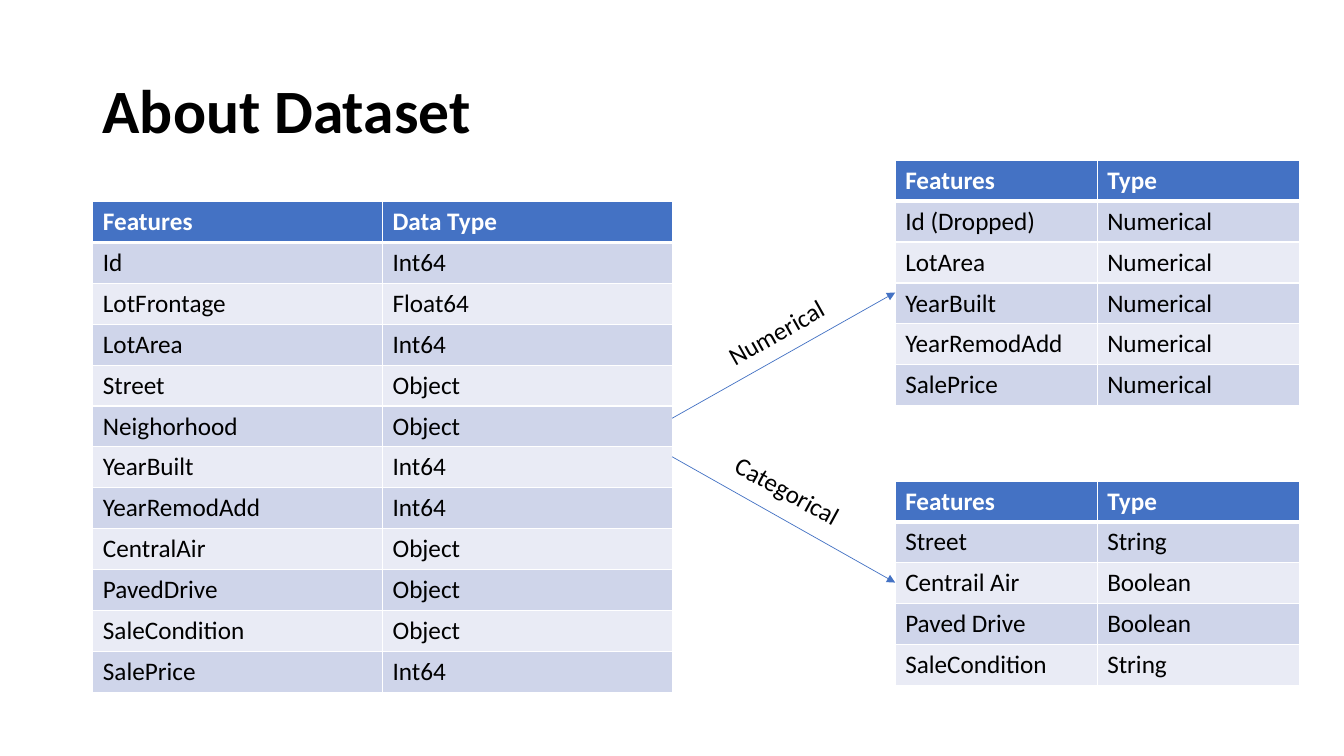
import pptx
import pptx.dml.color
import pptx.enum.shapes
import pptx.enum.text
import pptx.oxml
import pptx.oxml.ns
import pptx.util
from pptx.util import Cm

WHITE, BLACK, BLUE = "FFFFFF", "000000", "4472C4"
BANDS = ("CFD5EA", "E9EBF5")
ROW_HEIGHT = 1.03


def color(hex_value):
    """Turn a hex string into a colour."""
    return pptx.dml.color.RGBColor.from_string(hex_value)


def add_xml(parent, tag, content="", attributes=""):
    """Append one drawing element to a parent element."""
    namespace = pptx.oxml.ns.nsdecls("a")
    parent.append(pptx.oxml.parse_xml(
        f"<a:{tag} {namespace} {attributes}>{content}</a:{tag}>"))


class SlideBuilder:
    """Holds the style and the current slide."""

    font_name = "Calibri"
    body_size = 18
    title_size = 44

    def __init__(self, slide):
        """Keep the slide that receives the elements."""
        self.slide = slide

    def add_run(self, paragraph, text, size, hex_value=BLACK, bold=False):
        """Add one styled run to a paragraph."""
        run = paragraph.add_run()
        run.text = text
        run.font.name = self.font_name
        run.font.size = pptx.util.Pt(size)
        run.font.bold = bold
        run.font.color.rgb = color(hex_value)

    def add_title(self, text, left, top, width, height):
        """Add the bold, vertically centred heading."""
        shape = self.slide.shapes.add_textbox(Cm(left), Cm(top), Cm(width), Cm(height))
        frame = shape.text_frame
        frame.word_wrap = True
        frame.vertical_anchor = pptx.enum.text.MSO_ANCHOR.MIDDLE
        frame.paragraphs[0].line_spacing = 0.9
        self.add_run(frame.paragraphs[0], text, self.title_size, bold=True)

    def add_label(self, text, left, top, width, rotation):
        """Add a rotated label that lies along an arrow."""
        shape = self.slide.shapes.add_textbox(Cm(left), Cm(top), Cm(width), Cm(ROW_HEIGHT))
        shape.rotation = rotation
        frame = shape.text_frame
        frame.word_wrap = False
        frame.auto_size = pptx.enum.text.MSO_AUTO_SIZE.SHAPE_TO_FIT_TEXT
        self.add_run(frame.paragraphs[0], text, self.body_size)

    def add_arrow(self, start, end):
        """Add a thin arrow between two points."""
        connector = self.slide.shapes.add_connector(
            pptx.enum.shapes.MSO_CONNECTOR.STRAIGHT, *map(Cm, start + end))
        connector.line.color.rgb = color(BLUE)
        connector.line.width = pptx.util.Pt(0.5)
        add_xml(connector.line._get_or_add_ln(), "tailEnd", attributes='type="triangle"')
        add_xml(connector._element.spPr, "effectLst")

    def add_table(self, rows, left, top, column_width):
        """Add a banded table whose first row is the header."""
        column_count = len(rows[0])
        frame = self.slide.shapes.add_table(
            len(rows), column_count, Cm(left), Cm(top),
            Cm(column_width * column_count), Cm(ROW_HEIGHT * len(rows)))
        table = frame.table
        table.horz_banding = False
        for column in table.columns:
            column.width = Cm(column_width)
        for row_index, values in enumerate(rows):
            table.rows[row_index].height = Cm(ROW_HEIGHT)
            for column_index, text in enumerate(values):
                self.fill_cell(table.cell(row_index, column_index), text, row_index)

    def fill_cell(self, cell, text, row_index):
        """Set the text, borders and fill of one cell."""
        header = row_index == 0
        self.add_run(cell.text_frame.paragraphs[0], text, self.body_size,
                     WHITE if header else BLACK, header)
        properties = cell._tc.get_or_add_tcPr()
        widths = {"lnL": 1, "lnR": 1, "lnT": 3 if row_index == 1 else 1,
                  "lnB": 3 if header else 1}
        for tag, points in widths.items():
            add_xml(properties, tag,
                    f'<a:solidFill><a:srgbClr val="{WHITE}"/></a:solidFill>',
                    f'w="{pptx.util.Pt(points)}"')
        cell.fill.solid()
        cell.fill.fore_color.rgb = color(BLUE if header else BANDS[(row_index - 1) % 2])


DATASET_ROWS = [
    ("Features", "Data Type"),
    ("Id", "Int64"),
    ("LotFrontage", "Float64"),
    ("LotArea", "Int64"),
    ("Street", "Object"),
    ("Neighorhood", "Object"),
    ("YearBuilt", "Int64"),
    ("YearRemodAdd", "Int64"),
    ("CentralAir", "Object"),
    ("PavedDrive", "Object"),
    ("SaleCondition", "Object"),
    ("SalePrice", "Int64"),
]
NUMERICAL_FEATURES = ("Id (Dropped)", "LotArea", "YearBuilt", "YearRemodAdd", "SalePrice")
NUMERICAL_ROWS = [("Features", "Type")] + [(name, "Numerical") for name in NUMERICAL_FEATURES]
CATEGORICAL_ROWS = [
    ("Features", "Type"),
    ("Street", "String"),
    ("Centrail Air", "Boolean"),
    ("Paved Drive", "Boolean"),
    ("SaleCondition", "String"),
]

presentation = pptx.Presentation()
presentation.slide_width = Cm(33.87)
presentation.slide_height = Cm(19.05)
builder = SlideBuilder(presentation.slides.add_slide(presentation.slide_layouts[6]))

dataset_left, dataset_column = 2.34, 7.3
dataset_right = dataset_left + 2 * dataset_column
type_left, type_column = 22.56, 5.09

builder.add_title("About Dataset", dataset_left, 1.01, 29.21, 3.68)
builder.add_table(DATASET_ROWS, dataset_left, 5.08, dataset_column)
builder.add_table(NUMERICAL_ROWS, type_left, 4.04, type_column)
builder.add_table(CATEGORICAL_ROWS, type_left, 12.12, type_column)
builder.add_arrow((dataset_right, 10.54), (type_left, 7.37))
builder.add_arrow((dataset_right, 11.51), (type_left, 14.68))
builder.add_label("Numerical", 17.98, 7.85, 3.2, 330.6)
builder.add_label("Categorical", 18.16, 11.86, 3.4, 28.7)

presentation.save("out.pptx")
